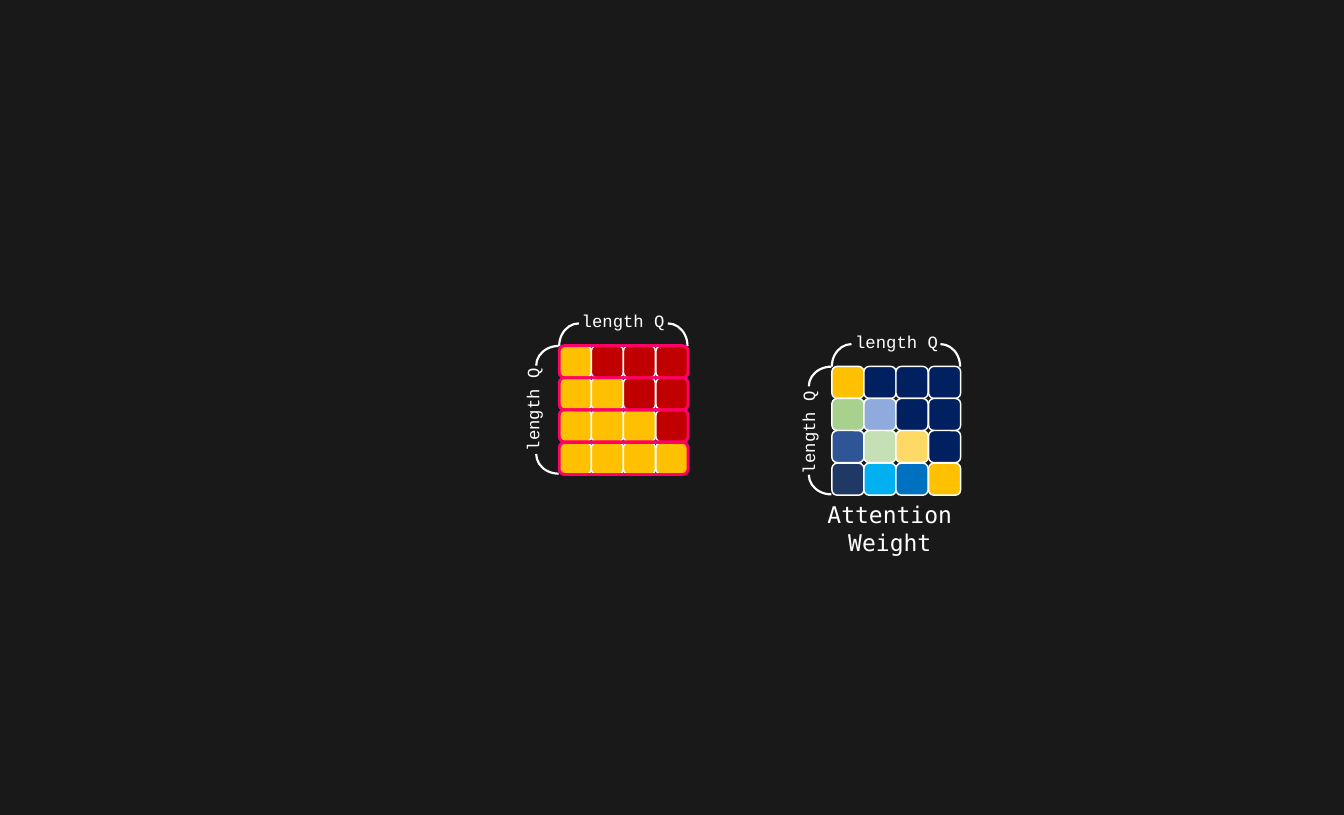
import dataclasses
import typing

import pptx
import pptx.dml.color
import pptx.enum.shapes
import pptx.enum.text
import pptx.util

SHAPE = pptx.enum.shapes.MSO_SHAPE
Color = pptx.dml.color.RGBColor
PX = 9144

BACKGROUND = Color(0x19, 0x19, 0x19)
WHITE = Color(0xFF, 0xFF, 0xFF)
PINK = Color(0xFF, 0x00, 0x66)
AMBER = Color(0xFF, 0xC0, 0x00)
RED = Color(0xC0, 0x00, 0x00)
NAVY = Color(0x00, 0x20, 0x60)
GREEN = Color(0xA9, 0xD1, 0x8E)
PALE_GREEN = Color(0xC5, 0xE0, 0xB4)
PERIWINKLE = Color(0x8F, 0xAA, 0xDC)
STEEL = Color(0x2F, 0x55, 0x97)
DARK_STEEL = Color(0x20, 0x38, 0x64)
SKY = Color(0x00, 0xB0, 0xF0)
BLUE = Color(0x00, 0x70, 0xC0)
PALE_AMBER = Color(0xFF, 0xD9, 0x66)

SIZE = 4
CELL = 62
SPAN = 249


class Box(typing.NamedTuple):
    left: int
    top: int
    width: int
    height: int


@dataclasses.dataclass(frozen=True)
class Label:
    box: Box
    lines: tuple[str, ...] = ("length Q",)
    font: str = "Courier New"
    points: int = 24
    rotation: int = 0


@dataclasses.dataclass(frozen=True)
class Arc:
    left: int
    top: int
    rotation: int
    flipped: bool


@dataclasses.dataclass(frozen=True)
class Matrix:
    left: int
    top: int
    rows: tuple[tuple[Color, ...], ...]
    top_label: Label
    side_label: Label


TOP_ARCS = (Arc(0, -43, 0, True), Arc(172, -43, 0, False))
SIDE_ARCS = (Arc(-39, 166, 270, True), Arc(-39, -5, 270, False))

MASK = Matrix(
    1081, 668,
    tuple(tuple(AMBER if col <= row else RED for col in range(SIZE)) for row in range(SIZE)),
    Label(Box(1104, 588, 201, CELL)),
    Label(Box(921, 761, 217, CELL), rotation=270),
)
WEIGHTS = Matrix(
    1608, 708,
    (
        (AMBER, NAVY, NAVY, NAVY),
        (GREEN, PERIWINKLE, NAVY, NAVY),
        (STEEL, PALE_GREEN, PALE_AMBER, NAVY),
        (DARK_STEEL, SKY, BLUE, AMBER),
    ),
    Label(Box(1624, 629, 218, CELL)),
    Label(Box(1461, 805, 203, CELL), rotation=270),
)
CAPTION = Label(Box(1574, 981, 292, 79), ("Attention", "Weight"), "DejaVu Sans Mono", 32)


def offset(index: int) -> int:
    """Return the distance of a row or column from the matrix edge."""
    return index * (SPAN - CELL) // (SIZE - 1)


def add_outline(shapes, kind, box: Box, fill: Color | None, line: Color | None, points: int = 0):
    """Add a preset shape with an optional fill and line."""
    shape = shapes.add_shape(kind, *(value * PX for value in box))
    shape.shadow.inherit = False
    if fill is None:
        shape.fill.background()
    else:
        shape.fill.solid()
        shape.fill.fore_color.rgb = fill
    if line is None:
        shape.line.fill.background()
    else:
        shape.line.color.rgb = line
        shape.line.width = pptx.util.Pt(points)
    return shape


def add_label(shapes, label: Label) -> None:
    """Add centred white text in an unfilled rounded box."""
    shape = add_outline(shapes, SHAPE.ROUNDED_RECTANGLE, label.box, None, None)
    shape.rotation = label.rotation
    frame = shape.text_frame
    frame.word_wrap = True
    frame.vertical_anchor = pptx.enum.text.MSO_ANCHOR.MIDDLE
    frame.text = "\n".join(label.lines)
    for para in frame.paragraphs:
        para.alignment = pptx.enum.text.PP_ALIGN.CENTER
        para.font.name = label.font
        para.font.size = pptx.util.Pt(label.points)
        para.font.color.rgb = WHITE


def add_arcs(shapes, matrix: Matrix, arcs: tuple[Arc, ...]) -> None:
    """Add the rounded ends of a bracket beside a matrix."""
    for arc in arcs:
        box = Box(matrix.left + arc.left, matrix.top + arc.top, 76, 87)
        shape = add_outline(shapes, SHAPE.ARC, box, None, WHITE, 3)
        shape.rotation = arc.rotation
        if arc.flipped:
            shape.element.spPr.xfrm.set("flipH", "1")


def add_matrix(page, matrix: Matrix) -> None:
    """Add a grouped grid of cells with its two labelled brackets."""
    shapes = page.shapes.add_group_shape().shapes
    for col in range(SIZE):
        for row in range(SIZE):
            box = Box(matrix.left + offset(col), matrix.top + offset(row), CELL, CELL)
            add_outline(shapes, SHAPE.ROUNDED_RECTANGLE, box, matrix.rows[row][col], WHITE, 2)
    add_label(shapes, matrix.top_label)
    add_arcs(shapes, matrix, TOP_ARCS)
    add_label(shapes, matrix.side_label)
    add_arcs(shapes, matrix, SIDE_ARCS)


def main() -> None:
    """Build the slide and save the deck."""
    deck = pptx.Presentation()
    deck.slide_width = 2598 * PX
    deck.slide_height = 1575 * PX
    page = deck.slides.add_slide(deck.slide_layouts[6])
    page.background.fill.solid()
    page.background.fill.fore_color.rgb = BACKGROUND
    for matrix in (MASK, WEIGHTS):
        add_matrix(page, matrix)
    add_label(page.shapes, CAPTION)
    for row in reversed(range(SIZE)):
        box = Box(MASK.left, MASK.top + offset(row), SPAN, CELL)
        add_outline(page.shapes, SHAPE.ROUNDED_RECTANGLE, box, None, PINK, 4)
    deck.save("out.pptx")


if __name__ == "__main__":
    main()
